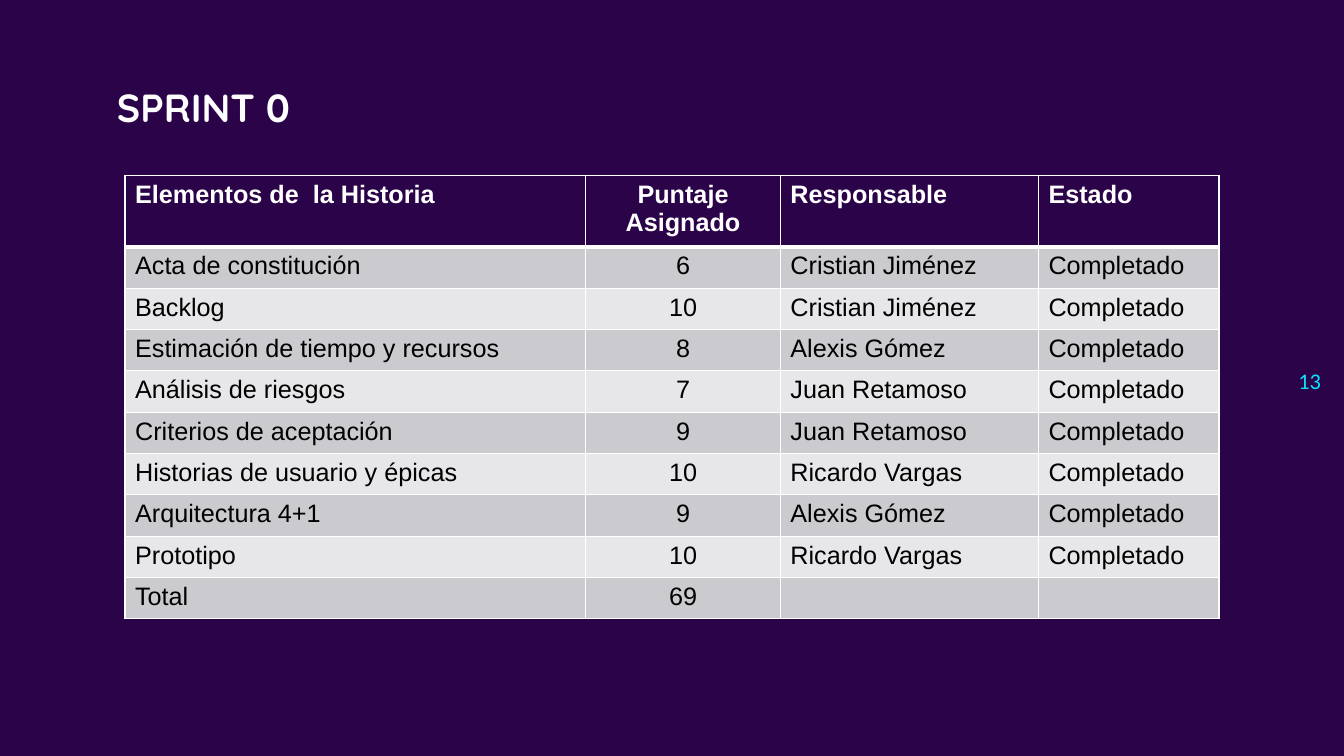
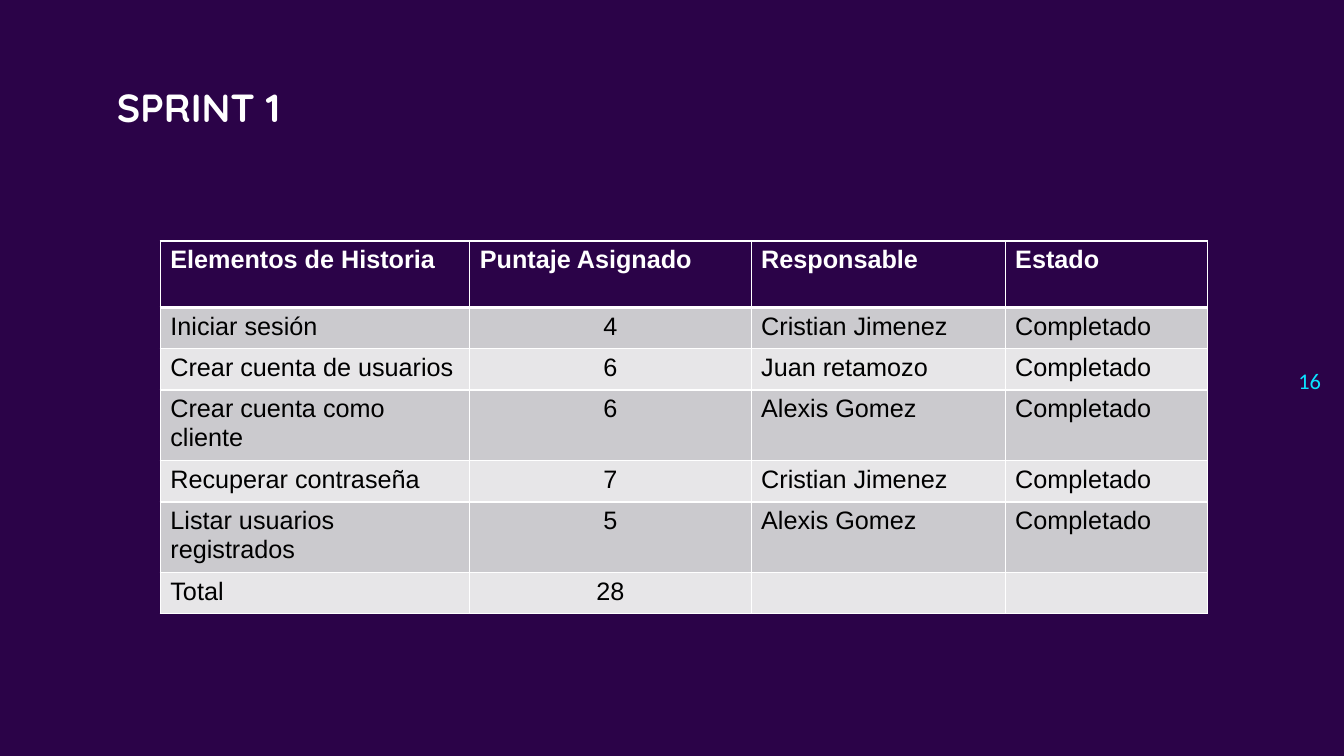
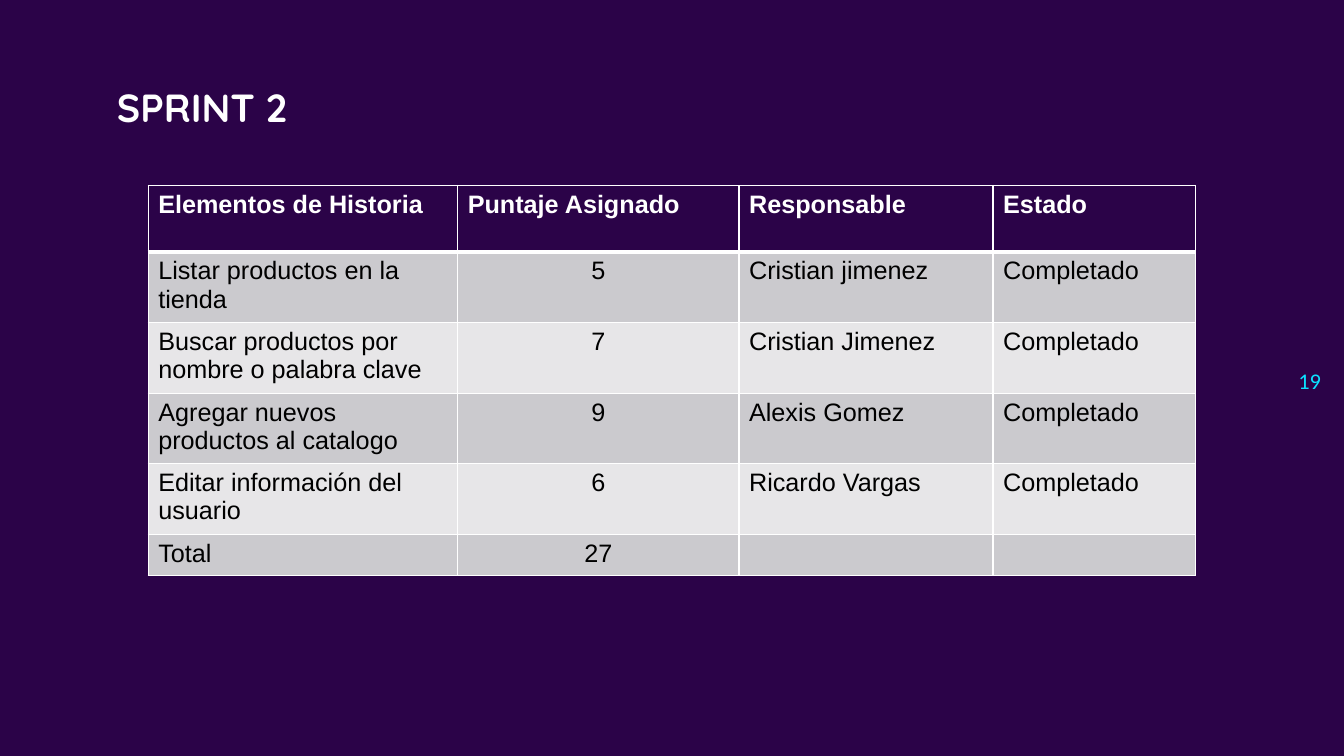
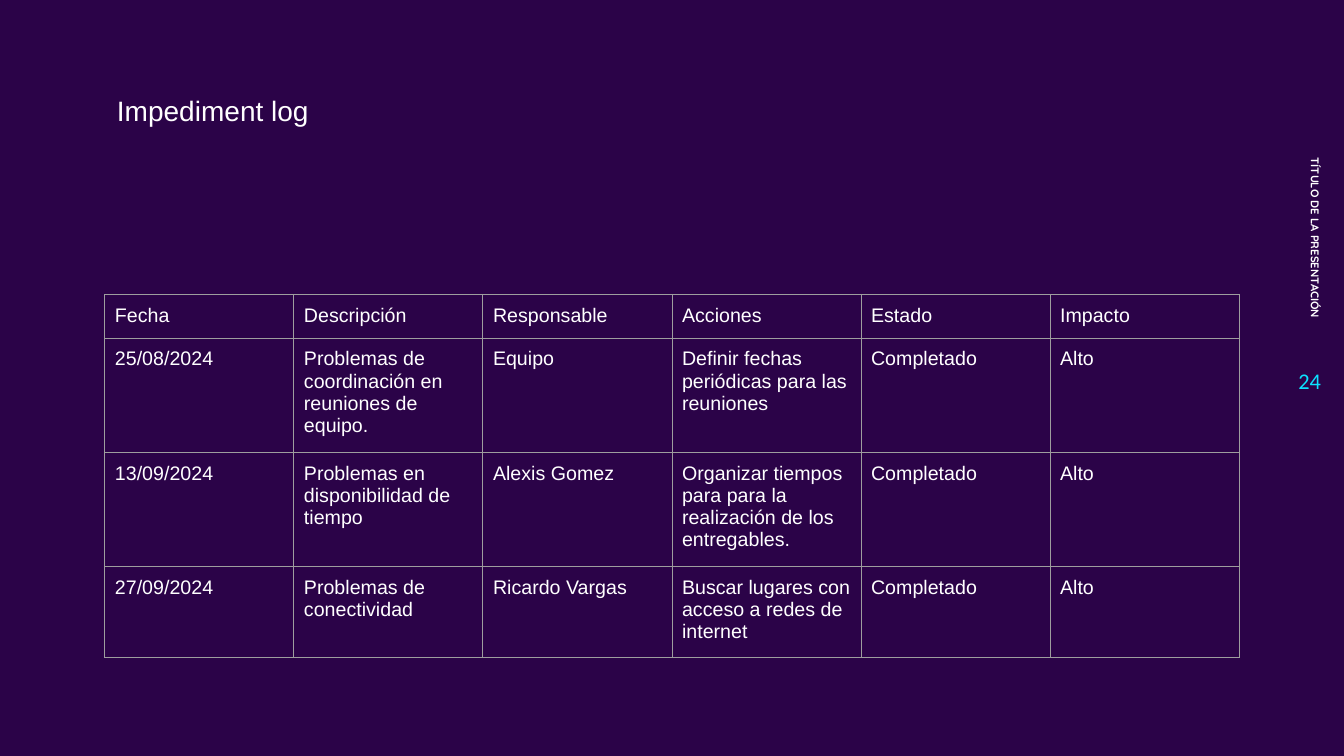
from dataclasses import dataclass

from lxml.etree import SubElement
from pptx import Presentation
from pptx.dml.color import RGBColor
from pptx.enum.text import MSO_ANCHOR, MSO_AUTO_SIZE, PP_ALIGN
from pptx.oxml.ns import qn
from pptx.util import Inches, Pt


@dataclass(frozen=True)
class Theme:
    """Colours, fonts and type sizes of the deck."""
    background: str = "2B0348"
    white: str = "FFFFFF"
    black: str = "000000"
    accent: str = "0BE1FF"
    band_dark: str = "CBCACE"
    band_light: str = "E7E6E8"
    grey_line: str = "9E9E9E"
    title_font: str = "Quicksand"
    body_font: str = "Arial"
    number_font: str = "Calibri"
    title_size: float = 28
    subtitle_size: float = 20
    sprint_size: float = 18
    number_size: float = 16
    log_size: float = 14
    footer_size: float = 8


class SprintDeck:
    """Holds the style and the current slide."""

    def __init__(self, theme):
        self.theme = theme
        self.deck = Presentation()
        self.deck.slide_width, self.deck.slide_height = Inches(13.33), Inches(7.5)
        fill = self.deck.slide_master.background.fill
        fill.solid()
        fill.fore_color.rgb = RGBColor.from_string(theme.background)
        self.page = None

    def set_text(self, frame, text, font, size, colour, bold=False, align=PP_ALIGN.LEFT):
        frame.text = text
        para = frame.paragraphs[0]
        para.alignment = align
        for span in para.runs:
            span.font.name, span.font.size, span.font.bold = font, Pt(size), bold
            span.font.color.rgb = RGBColor.from_string(colour)
        return para

    def add_page(self, title, number, font, size, bold=True, spacing=0.9):
        self.page = self.deck.slides.add_slide(self.deck.slide_layouts[5])
        box = self.page.shapes.title
        box.left, box.top, box.width, box.height = map(Inches, (1.06, 0.83, 5.93, 0.63))
        frame = box.text_frame
        frame.auto_size = MSO_AUTO_SIZE.NONE
        frame.vertical_anchor = MSO_ANCHOR.TOP
        para = self.set_text(frame, title, font, size, self.theme.white, bold)
        para.line_spacing = spacing
        self.add_label(str(number), (12.6, 3.46, 0.6, 0.63), self.theme.number_font,
                       self.theme.number_size, self.theme.accent)

    def add_label(self, text, place, font, size, colour, bold=False, rotation=0):
        box = self.page.shapes.add_textbox(*map(Inches, place))
        box.rotation = rotation
        frame = box.text_frame
        frame.word_wrap = True
        frame.vertical_anchor = MSO_ANCHOR.MIDDLE
        self.set_text(frame, text, font, size, colour, bold, PP_ALIGN.RIGHT)

    def add_footer(self, text):
        self.add_label(text, (11.53, 1.54, 3.03, 0.4), self.theme.title_font,
                       self.theme.footer_size, self.theme.white, True, 90)

    def add_grid(self, left, top, widths, heights):
        table = self.page.shapes.add_table(
            len(heights), len(widths), Inches(left), Inches(top),
            Inches(sum(widths)), Inches(sum(heights))).table
        table.first_row = table.horz_banding = False
        for column, width in zip(table.columns, widths):
            column.width = Inches(width)
        for row, height in zip(table.rows, heights):
            row.height = Inches(height)
        return table

    def set_borders(self, cell, colour, width, top=None, bottom=None):
        properties = cell._tc.get_or_add_tcPr()
        sides = {"L": width, "R": width, "T": top or width, "B": bottom or width}
        for side, points in sides.items():
            line = SubElement(properties, qn(f"a:ln{side}"), w=str(int(Pt(points))))
            SubElement(SubElement(line, qn("a:solidFill")), qn("a:srgbClr"), val=colour)

    def add_sprint_table(self, left, top, widths, heights, headings, stories,
                         header_align=PP_ALIGN.LEFT):
        theme = self.theme
        total = sum(points for _, points, _ in stories)
        rows = [headings]
        rows += [(story, str(points), owner, "Completado") for story, points, owner in stories]
        rows.append(("Total", str(total), "", ""))
        table = self.add_grid(left, top, widths, heights)
        for row, texts in enumerate(rows):
            header = row == 0
            band = theme.band_dark if row % 2 else theme.band_light
            for column, text in enumerate(texts):
                cell = table.cell(row, column)
                # The thick rule runs between the header and the first story
                self.set_borders(cell, theme.white, 1, top=3 if row == 1 else 1,
                                 bottom=3 if header else 1)
                cell.fill.solid()
                cell.fill.fore_color.rgb = RGBColor.from_string(
                    theme.background if header else band)
                align = PP_ALIGN.LEFT
                if column == 1:
                    align = header_align if header else PP_ALIGN.CENTER
                self.set_text(cell.text_frame, text, theme.body_font, theme.sprint_size,
                              theme.white if header else theme.black, header, align)

    def add_log_table(self, left, top, width, heights, rows):
        columns = len(rows[0])
        table = self.add_grid(left, top, [width / columns] * columns, heights)
        for row, texts in enumerate(rows):
            for column, text in enumerate(texts):
                cell = table.cell(row, column)
                cell.margin_top = cell.margin_bottom = Inches(0.1)
                self.set_borders(cell, self.theme.grey_line, 0.75)
                cell.fill.background()
                self.set_text(cell.text_frame, text, self.theme.body_font,
                              self.theme.log_size, self.theme.white)


LINE, TWO_LINES = 0.41, 0.66
SPRINT_WIDTHS = (3.07, 2.79, 2.52, 2.01)
SPRINT_HEADINGS = ("Elementos de Historia", "Puntaje Asignado", "Responsable", "Estado")

SPRINT_0 = [
    ("Acta de constitución", 6, "Cristian Jiménez"),
    ("Backlog", 10, "Cristian Jiménez"),
    ("Estimación de tiempo y recursos", 8, "Alexis Gómez"),
    ("Análisis de riesgos", 7, "Juan Retamoso"),
    ("Criterios de aceptación", 9, "Juan Retamoso"),
    ("Historias de usuario y épicas", 10, "Ricardo Vargas"),
    ("Arquitectura 4+1", 9, "Alexis Gómez"),
    ("Prototipo", 10, "Ricardo Vargas"),
]
SPRINT_1 = [
    ("Iniciar sesión", 4, "Cristian Jimenez"),
    ("Crear cuenta de usuarios", 6, "Juan retamozo"),
    ("Crear cuenta como cliente", 6, "Alexis Gomez"),
    ("Recuperar contraseña", 7, "Cristian Jimenez"),
    ("Listar usuarios registrados", 5, "Alexis Gomez"),
]
SPRINT_2 = [
    ("Listar productos en la tienda", 5, "Cristian jimenez"),
    ("Buscar productos por nombre o palabra clave", 7, "Cristian Jimenez"),
    ("Agregar nuevos productos al catalogo", 9, "Alexis Gomez"),
    ("Editar información del usuario", 6, "Ricardo Vargas"),
]
IMPEDIMENTS = [
    ("Fecha", "Descripción", "Responsable", "Acciones", "Estado", "Impacto"),
    ("25/08/2024", "Problemas de coordinación en reuniones de equipo.", "Equipo",
     "Definir fechas periódicas para las reuniones", "Completado", "Alto"),
    ("13/09/2024", "Problemas en disponibilidad de tiempo", "Alexis Gomez",
     "Organizar tiempos para para la realización de los entregables.", "Completado", "Alto"),
    ("27/09/2024", "Problemas de conectividad", "Ricardo Vargas",
     "Buscar lugares con acceso a redes de internet", "Completado", "Alto"),
]


def main():
    theme = Theme()
    show = SprintDeck(theme)

    # Sprint 0
    show.add_page("SPRINT 0", 13, theme.title_font, theme.title_size)
    show.add_sprint_table(
        1.24, 1.74, (4.57, 1.93, 2.56, 1.79), [0.71] + [LINE] * 9,
        ("Elementos de  la Historia",) + SPRINT_HEADINGS[1:], SPRINT_0, PP_ALIGN.CENTER)

    # Sprint 1
    show.add_page("SPRINT 1", 16, theme.title_font, theme.title_size)
    show.add_sprint_table(
        1.59, 2.39, SPRINT_WIDTHS,
        [TWO_LINES, LINE, LINE, TWO_LINES, LINE, TWO_LINES, LINE],
        SPRINT_HEADINGS, SPRINT_1)

    # Sprint 2
    show.add_page("SPRINT 2", 19, theme.title_font, theme.title_size)
    show.add_sprint_table(1.47, 1.84, SPRINT_WIDTHS, [TWO_LINES] * 5 + [LINE],
                          SPRINT_HEADINGS, SPRINT_2)

    # Impediment log
    show.add_page("Impediment log", 24, theme.body_font, theme.subtitle_size, False, 1.15)
    show.add_footer("TÍTULO DE LA PRESENTACIÓN")
    show.add_log_table(1.04, 2.92, 11.25, [0.42, 1.07, 1.07, 0.85], IMPEDIMENTS)

    show.deck.save("out.pptx")


if __name__ == "__main__":
    main()
